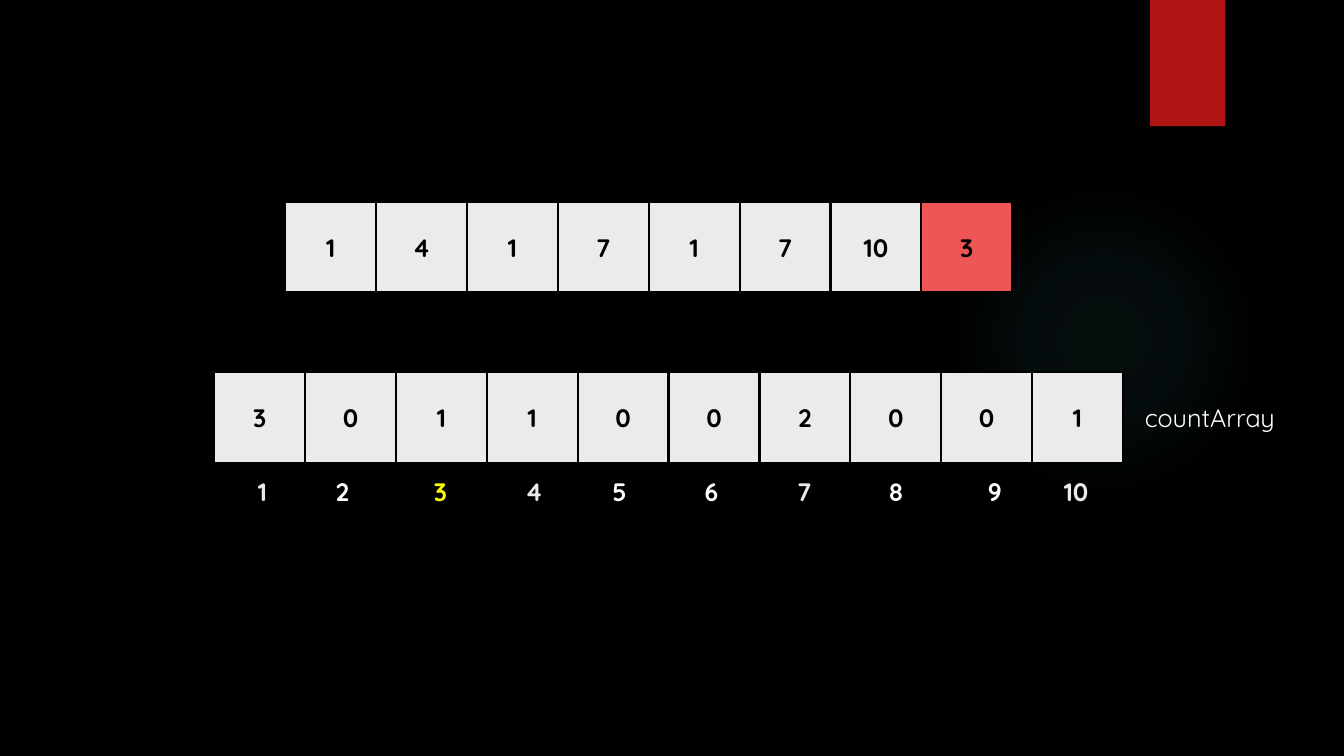
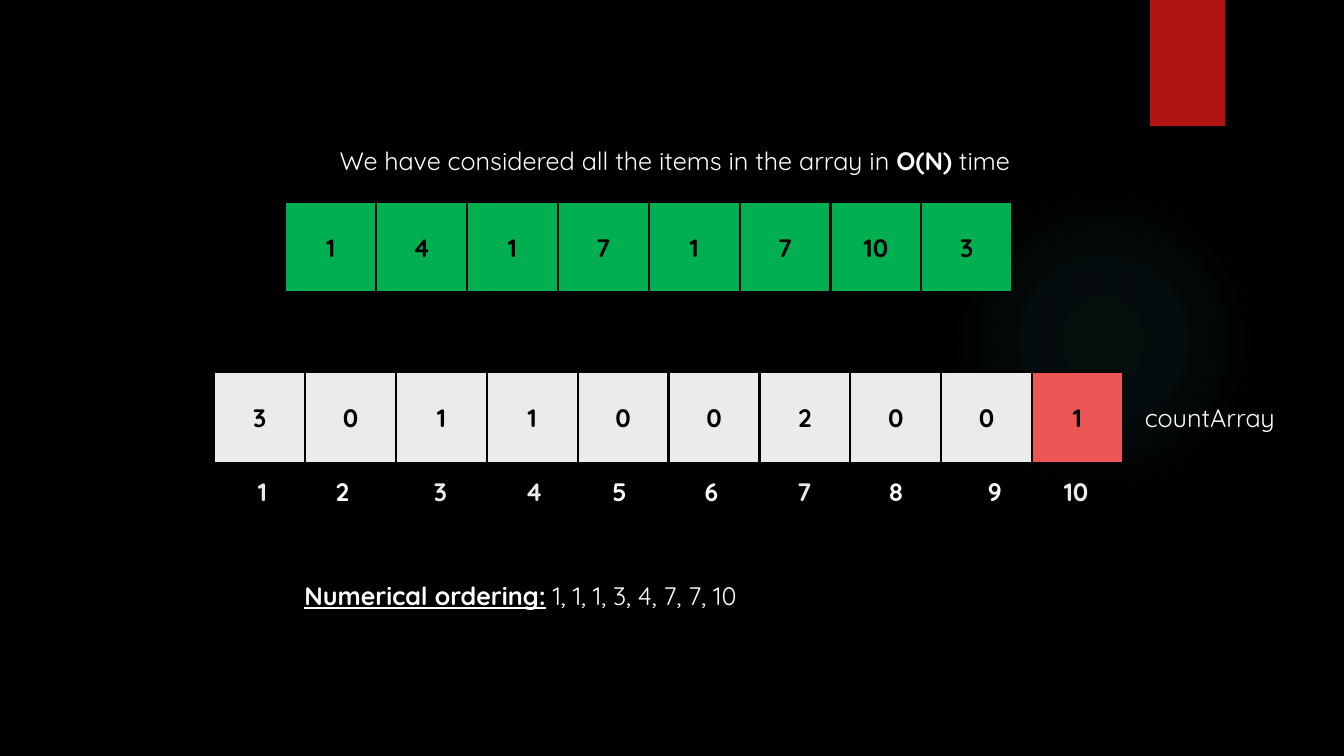
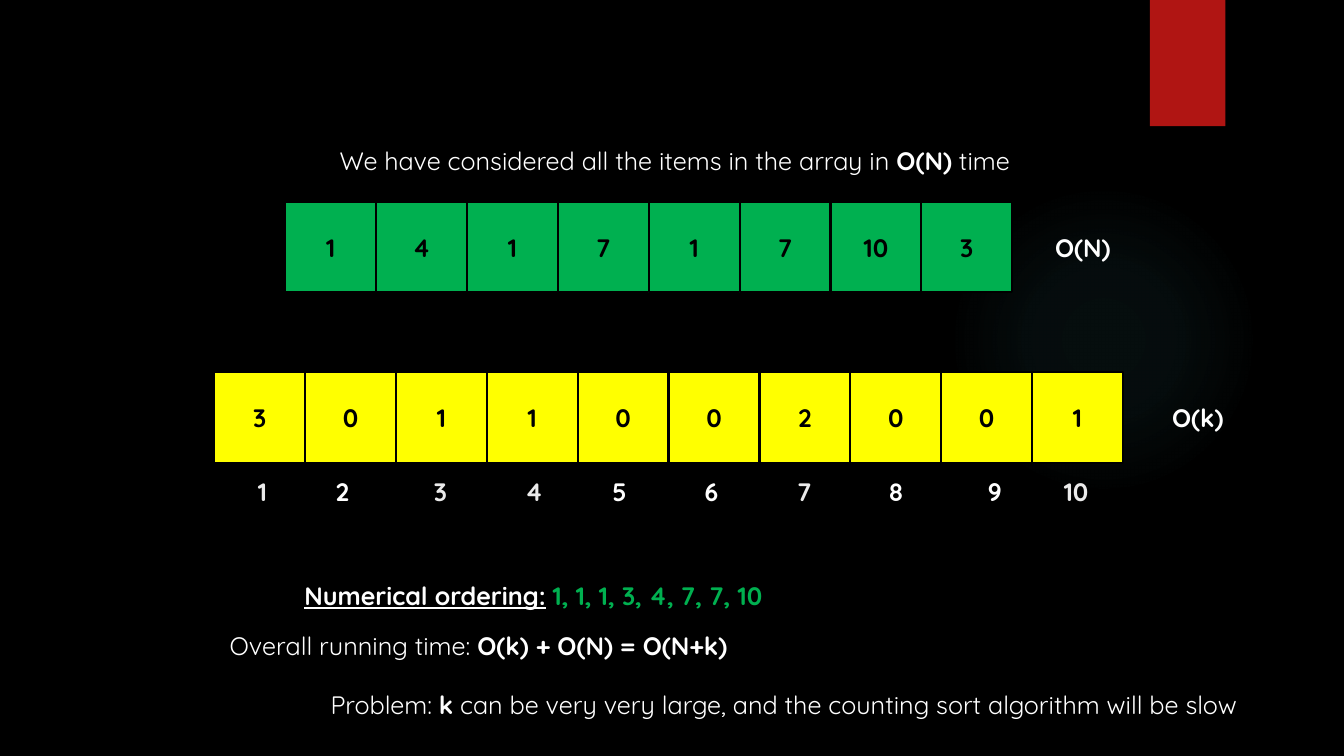
from pptx import Presentation
from pptx.dml.color import RGBColor
from pptx.enum.shapes import MSO_SHAPE
from pptx.enum.text import MSO_ANCHOR, PP_ALIGN
from pptx.oxml import parse_xml
from pptx.oxml.ns import nsdecls, qn
from pptx.util import Cm, Pt

RECTANGLE = MSO_SHAPE.RECTANGLE
OVAL = MSO_SHAPE.OVAL
MIDDLE = MSO_ANCHOR.MIDDLE
CENTER = PP_ALIGN.CENTER

BLACK, WHITE, PALE = "000000", "FFFFFF", "EBEBEB"
RED, CORAL, GREEN, YELLOW = "B01513", "ED5654", "00B050", "FFFF00"
GLOW = "50B9C1"
GLOW_STOPS = [(0, 7), (36, 6), (69, 0)]

ITEMS = [1, 4, 1, 7, 1, 7, 10, 3]
COUNTS = [3, 0, 1, 1, 0, 0, 2, 0, 0, 1]
INDEX_TABS = [2.13, 4.6, 6.96, 9.12, 11.43, 13.77, 16.08, 18.57, 20.62]
PALE_INDEXES = {1, 3, 4, 7, 10}
BOLD = {"bold": True}


def rgb(value):
    return RGBColor.from_string(value)


class SlideBuilder:
    font = "Quicksand"
    size = 18
    cell = 2.29

    def __init__(self, deck):
        self.deck = deck
        background = deck.slide_master.background.fill
        background.solid()
        background.fore_color.rgb = rgb(BLACK)

    def add_page(self):
        self.page = self.deck.slides.add_slide(self.deck.slide_layouts[6])
        self.glow(23.9, 4.65, 7.82)
        self.shape(RECTANGLE, 28.98, 0, 1.9, 3.18, RED)

    def shape(self, kind, left, top, width, height, fill=None, line=None):
        shape = self.page.shapes.add_shape(kind, Cm(left), Cm(top), Cm(width), Cm(height))
        shape.shadow.inherit = False
        if fill:
            shape.fill.solid()
            shape.fill.fore_color.rgb = rgb(fill)
        else:
            shape.fill.background()
        if line:
            shape.line.color.rgb = rgb(line)
            shape.line.width = Pt(1.5)
        else:
            shape.line.fill.background()
        return shape

    def glow(self, left, top, diameter):
        properties = self.shape(OVAL, left, top, diameter, diameter).element.spPr
        stops = "".join(
            f'<a:gs pos="{position * 1000}"><a:srgbClr val="{GLOW}">'
            f'<a:alpha val="{opacity * 1000}"/></a:srgbClr></a:gs>'
            for position, opacity in GLOW_STOPS
        )
        gradient = parse_xml(
            f'<a:gradFill {nsdecls("a")}><a:gsLst>{stops}</a:gsLst><a:path path="circle">'
            '<a:fillToRect l="50000" t="50000" r="50000" b="50000"/></a:path></a:gradFill>'
        )
        properties.replace(properties.find(qn("a:noFill")), gradient)

    def add_span(self, para, text, color=WHITE, bold=False, underline=False):
        span = para.add_run()
        span.text = text
        span.font.name = self.font
        span.font.size = Pt(self.size)
        span.font.color.rgb = rgb(color)
        span.font.bold = bold
        span.font.underline = underline

    def text(self, left, top, width, *spans, height=1.02):
        box = self.page.shapes.add_textbox(Cm(left), Cm(top), Cm(width), Cm(height))
        box.text_frame.word_wrap = True
        para = box.text_frame.paragraphs[0]
        for text, style in spans:
            self.add_span(para, text, **style)
        return box

    def cells(self, left, top, values, fill, marked=None):
        for position, value in enumerate(values):
            color = CORAL if position == marked else fill
            cell = self.shape(RECTANGLE, left + position * self.cell, top,
                              self.cell, self.cell, color, BLACK)
            cell.text_frame.vertical_anchor = MIDDLE
            para = cell.text_frame.paragraphs[0]
            para.alignment = CENTER
            self.add_span(para, str(value), BLACK, bold=True)

    def items(self, fill, marked=None):
        self.cells(7.19, 5.08, ITEMS, fill, marked)

    def counts(self, fill, marked=None, marked_index=None):
        self.cells(5.4, 9.37, COUNTS, fill, marked)
        spans = []
        for index in range(1, len(COUNTS) + 1):
            color = PALE if index in PALE_INDEXES else WHITE
            if index == marked_index:
                color = YELLOW
            label = str(index) if index == 1 else f"\t{index}"
            spans.append((label, {"color": color, "bold": True}))
        box = self.text(6.25, 11.89, 21.9, *spans)
        tabs = "".join(f'<a:tab pos="{Cm(stop)}" algn="ctr"/>' for stop in INDEX_TABS)
        properties = box.text_frame.paragraphs[0]._p.get_or_add_pPr()
        properties.append(parse_xml(f'<a:tabLst {nsdecls("a")}>{tabs}</a:tabLst>'))

    def count_label(self):
        self.text(28.6, 10.01, 3.99, ("countArray", {}))

    def considered(self):
        self.text(8.31, 3.53, 18.49,
                  ("We have considered all the items in the array in ", {}),
                  ("O(N)", BOLD), (" time", {}))

    def ordering(self, **style):
        numbers = ", ".join(str(item) for item in sorted(ITEMS))
        self.text(7.42, 14.5, 12.57,
                  ("Numerical ordering:", {"bold": True, "underline": True}),
                  (" ", {}), (numbers, style))

    def running_time(self):
        box = self.text(5.54, 15.77, 27.36, ("Overall running time: ", {}),
                        ("O(k) + O(N) = O(N+k)", BOLD), height=2.57)
        problem = box.text_frame.add_paragraph()
        problem.space_before = Pt(20.5)
        problem._p.get_or_add_pPr().set("marL", str(Cm(2.54)))
        self.add_span(problem, "Problem: ")
        self.add_span(problem, "k", bold=True)
        self.add_span(problem, " can be very very large, and the counting sort algorithm will be slow")


deck = Presentation()
deck.slide_width = Cm(33.87)
deck.slide_height = Cm(19.05)
builder = SlideBuilder(deck)

builder.add_page()
builder.items(PALE, marked=7)
builder.counts(PALE, marked_index=3)
builder.count_label()

builder.add_page()
builder.items(GREEN)
builder.counts(PALE, marked=9)
builder.considered()
builder.ordering()
builder.count_label()

builder.add_page()
builder.items(GREEN)
builder.counts(YELLOW)
builder.considered()
builder.ordering(color=GREEN, bold=True)
builder.text(29.29, 10.01, 1.95, ("O(k)", BOLD))
builder.text(26.34, 5.72, 2.01, ("O(N)", BOLD))
builder.running_time()

deck.save("out.pptx")
